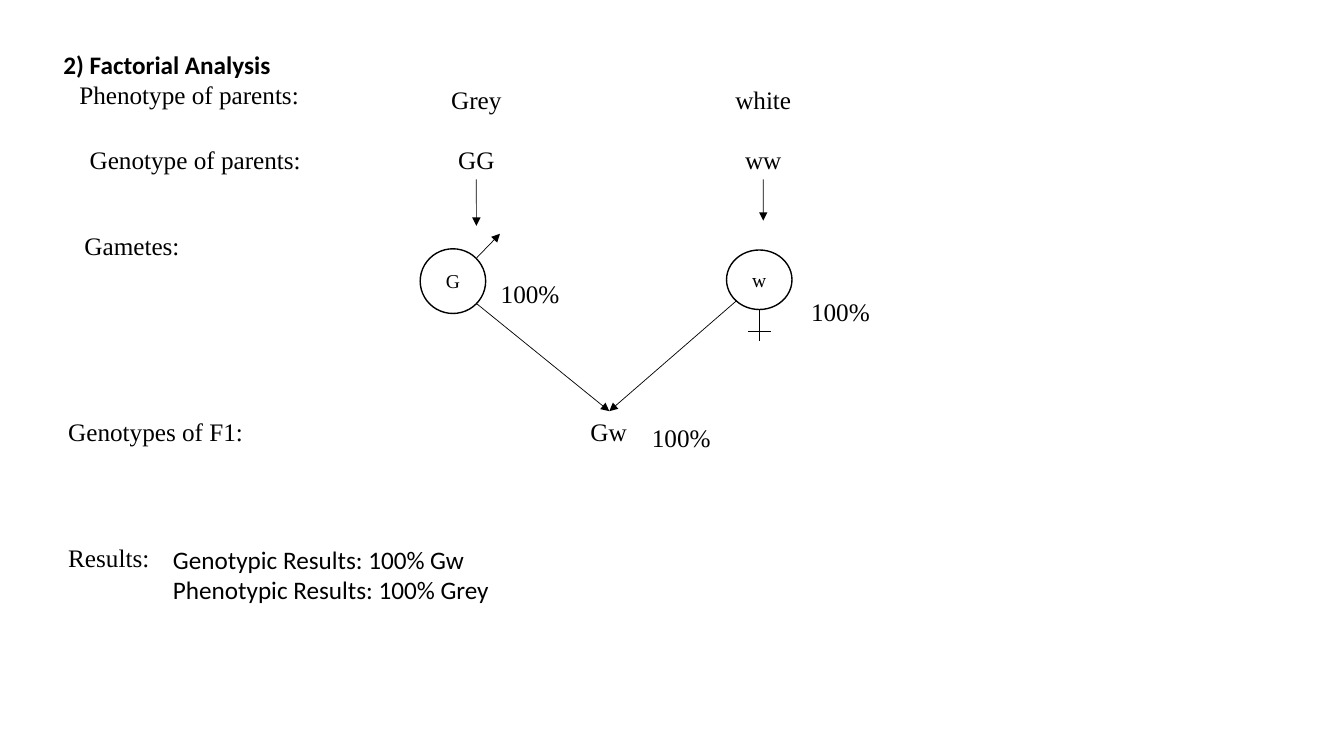
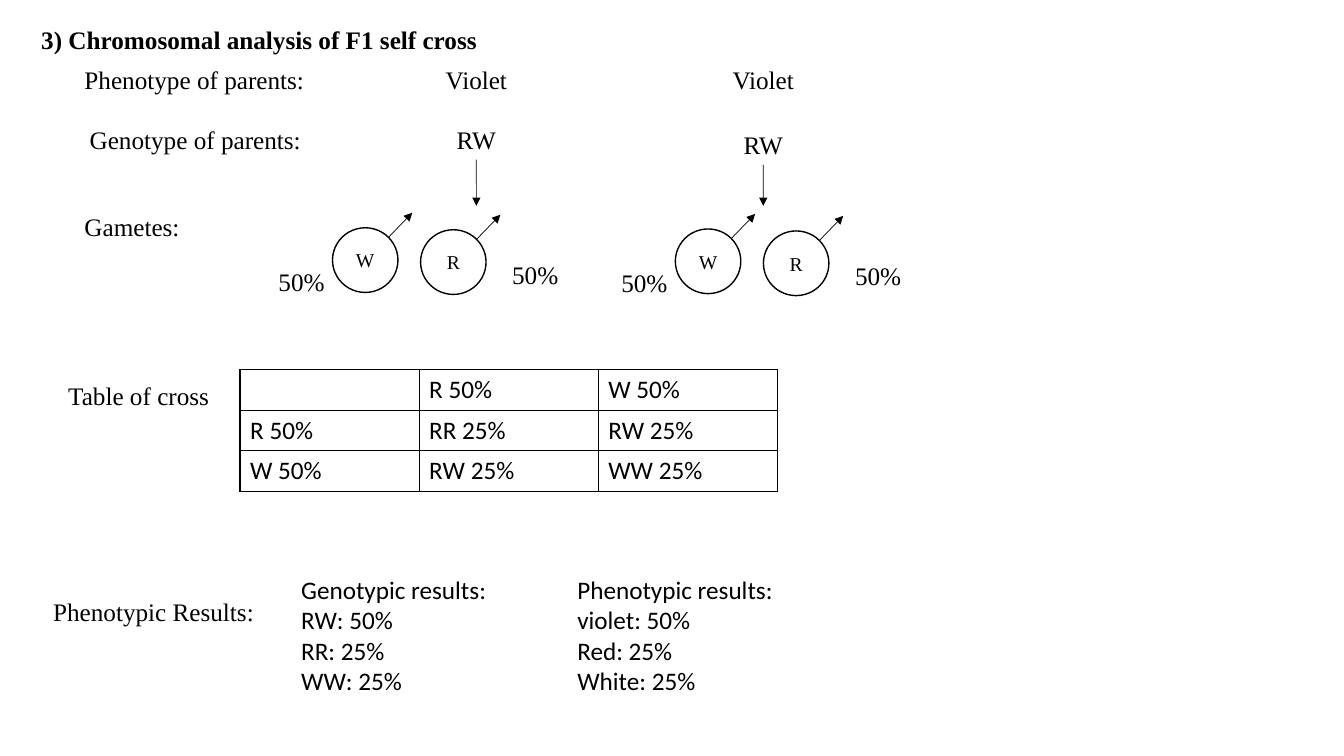
import pptx
import pptx.dml.color
import pptx.enum.shapes
import pptx.enum.text
import pptx.oxml
import pptx.oxml.ns
import pptx.util
from pptx.util import Cm

SERIF = "Times New Roman"
SANS = "Calibri"
INK = "000000"
LINE_HEIGHT = 1.02
COLUMN_WIDTH = 4.85
COLUMN_LEFTS = (9.58, 16.81)
PERCENT_WIDTH = 2.24
GAMETE_WIDTH = 1.65
GAMETE_HEIGHT = 1.63
ALIGN = pptx.enum.text.PP_ALIGN


def color(value):
    """Return the colour for a hex string."""
    return pptx.dml.color.RGBColor.from_string(value)


def format_text(text_frame, font=SERIF, size=18, bold=False, align=ALIGN.LEFT):
    """Give every run in a text frame the same style."""
    for paragraph in text_frame.paragraphs:
        paragraph.alignment = align
        for run in paragraph.runs:
            run.font.name = font
            run.font.size = pptx.util.Pt(size)
            run.font.bold = bold
            run.font.color.rgb = color(INK)


def add_text(slide, text, left, top, width, wrap=True, **style):
    """Place a text box whose height follows its number of lines."""
    height = LINE_HEIGHT + 0.77 * text.count("\n")
    box = slide.shapes.add_textbox(Cm(left), Cm(top), Cm(width), Cm(height))
    box.text_frame.word_wrap = wrap
    box.text_frame.auto_size = pptx.enum.text.MSO_AUTO_SIZE.SHAPE_TO_FIT_TEXT
    box.text_frame.text = text
    format_text(box.text_frame, **style)
    return box


def add_line(shapes, x1, y1, x2, y2, arrow=True):
    """Draw a thin straight line, with an arrowhead at its end if wanted."""
    line = shapes.add_connector(
        pptx.enum.shapes.MSO_CONNECTOR.STRAIGHT, Cm(x1), Cm(y1), Cm(x2), Cm(y2))
    line.line.color.rgb = color(INK)
    line.line.width = pptx.util.Pt(0.5)
    if arrow:
        head = pptx.oxml.parse_xml(
            '<a:tailEnd %s type="triangle"/>' % pptx.oxml.ns.nsdecls("a"))
        line.line._get_or_add_ln().append(head)
    line._element.spPr.append(
        pptx.oxml.parse_xml("<a:effectLst %s/>" % pptx.oxml.ns.nsdecls("a")))
    return line


def add_labels(slide, labels):
    """Place the row labels down the left side."""
    for text, left, top, width in labels:
        add_text(slide, text, left, top, width, wrap=False)


def add_parent(slide, left, top, phenotype, genotype, step, arrow_length):
    """Place a parent's phenotype, genotype and the arrow to its gametes."""
    add_text(slide, phenotype, left, top, COLUMN_WIDTH, align=ALIGN.CENTER)
    box = add_text(slide, genotype, left, top + step, COLUMN_WIDTH, align=ALIGN.CENTER)
    middle = left + COLUMN_WIDTH / 2
    bottom = top + step + LINE_HEIGHT
    arrow = add_line(slide.shapes, middle, bottom, middle, bottom + arrow_length)
    arrow.begin_connect(box, 2)


def add_gamete(slide, left, top, allele, height=GAMETE_HEIGHT, male=True):
    """Draw a gamete circle grouped with its male or female sign."""
    shapes = slide.shapes.add_group_shape().shapes
    circle = shapes.add_shape(
        pptx.enum.shapes.MSO_SHAPE.OVAL, Cm(left), Cm(top), Cm(GAMETE_WIDTH), Cm(height))
    circle.shadow.inherit = False
    circle.fill.background()
    circle.line.color.rgb = color(INK)
    circle.line.width = pptx.util.Pt(1)
    text_frame = circle.text_frame
    text_frame.vertical_anchor = pptx.enum.text.MSO_ANCHOR.MIDDLE
    text_frame.margin_left = text_frame.margin_right = 0
    text_frame.text = allele
    format_text(text_frame, size=14, align=ALIGN.CENTER)
    if male:
        add_line(shapes, left + 1.42, top + 0.23, left + 2.01, top - 0.38)
    else:
        middle = left + GAMETE_WIDTH / 2
        bottom = top + height
        add_line(shapes, middle, bottom, middle, bottom + 0.79, arrow=False)
        add_line(shapes, middle + 0.29, bottom + 0.56, middle - 0.29, bottom + 0.56, arrow=False)


def add_gamete_pair(slide, left, top):
    """Draw the two gametes of a hybrid parent with their shares."""
    add_gamete(slide, left, top, "W")
    add_gamete(slide, left + 2.22, top + 0.05, "R")
    for across, down in ((-1.9, 0.84), (3.99, 0.66)):
        add_text(slide, "50%", left + across, top + down, PERCENT_WIDTH, align=ALIGN.CENTER)


def add_cell_borders(cell):
    """Rule all four sides of a table cell."""
    properties = cell._tc.get_or_add_tcPr()
    for position, side in enumerate(("lnL", "lnR", "lnT", "lnB")):
        properties.insert(position, pptx.oxml.parse_xml(
            '<a:%s %s w="12700"><a:solidFill><a:srgbClr val="%s"/></a:solidFill></a:%s>'
            % (side, pptx.oxml.ns.nsdecls("a"), INK, side)))


def add_cross_table(slide, left, top, width, rows):
    """Place the table of cross as a plain ruled grid."""
    table = slide.shapes.add_table(
        len(rows), len(rows[0]), Cm(left), Cm(top), Cm(width), Cm(LINE_HEIGHT * len(rows))).table
    table.first_row = False
    table.horz_banding = False
    for row_index, row in enumerate(rows):
        for column_index, text in enumerate(row):
            cell = table.cell(row_index, column_index)
            cell.text = text
            cell.fill.background()
            format_text(cell.text_frame, font=SANS)
            add_cell_borders(cell)


def build_factorial_slide(slide):
    """Build the factorial analysis of the pure parents."""
    add_text(slide, "2) Factorial Analysis", 1.35, 1.12, 11.63, font=SANS, bold=True)
    add_labels(slide, (
        ("Phenotype of parents:", 1.75, 1.88, 6.32),
        ("Genotype of parents:", 2.01, 3.51, 6.05),
        ("Gametes:", 1.88, 5.69, 3.0),
        ("Genotypes of F1:", 1.47, 10.36, 4.98),
        ("Results:", 1.47, 13.54, 2.59),
    ))
    add_parent(slide, COLUMN_LEFTS[0], 2.0, "Grey", "GG", 1.5, 1.17)
    add_parent(slide, COLUMN_LEFTS[1], 2.0, "white", "ww", 1.5, 1.04)
    add_gamete(slide, 10.59, 6.27, "G")
    add_gamete(slide, 18.31, 6.3, "w", height=1.5, male=False)
    offspring = add_text(slide, "Gw", 14.63, 10.36, 1.45, wrap=False)
    for left, top in ((12.37, 6.88), (20.19, 7.34), (16.18, 10.52)):
        add_text(slide, "100%", left, top, PERCENT_WIDTH)
    for x, y in ((12.01, 7.65), (18.57, 7.57)):
        add_line(slide.shapes, x, y, 15.36, 10.36).end_connect(offspring, 0)
    add_text(slide, "Genotypic Results: 100% Gw\nPhenotypic Results: 100% Grey",
             4.11, 13.59, 10.11, font=SANS)


def build_chromosomal_slide(slide):
    """Build the chromosomal analysis of the self cross."""
    add_text(slide, "3) Chromosomal analysis of F1 self cross", 0.79, 0.48, 11.56, bold=True)
    add_labels(slide, (
        ("Phenotype of parents:", 1.88, 1.5, 6.32),
        ("Genotype of parents:", 2.01, 3.0, 6.05),
        ("Gametes:", 1.88, 5.21, 3.0),
        ("Table of cross", 1.47, 9.47, 4.09),
        ("Phenotypic Results:", 1.09, 14.91, 5.61),
    ))
    add_parent(slide, COLUMN_LEFTS[0], 1.5, "Violet", "RW", 1.5, 1.17)
    add_parent(slide, COLUMN_LEFTS[1], 1.5, "Violet", "RW", 1.63, 1.04)
    add_gamete_pair(slide, 8.38, 5.74)
    add_gamete_pair(slide, 17.02, 5.77)
    add_cross_table(slide, 6.05, 9.32, 13.54, (
        ("", "R 50%", "W 50%"),
        ("R 50%", "RR 25%", "RW 25%"),
        ("W 50%", "RW 25%", "WW 25%"),
    ))
    add_text(slide, "Genotypic results:\nRW: 50%\nRR: 25%\nWW: 25%",
             7.34, 14.35, 5.26, font=SANS)
    add_text(slide, "Phenotypic results:\nviolet: 50%\nRed: 25%\nWhite: 25%",
             14.3, 14.35, 5.49, font=SANS)


def main():
    """Build and save the presentation."""
    presentation = pptx.Presentation()
    presentation.slide_width = Cm(33.87)
    presentation.slide_height = Cm(19.05)
    for build in (build_factorial_slide, build_chromosomal_slide):
        build(presentation.slides.add_slide(presentation.slide_layouts[6]))
    presentation.save("out.pptx")


if __name__ == "__main__":
    main()
